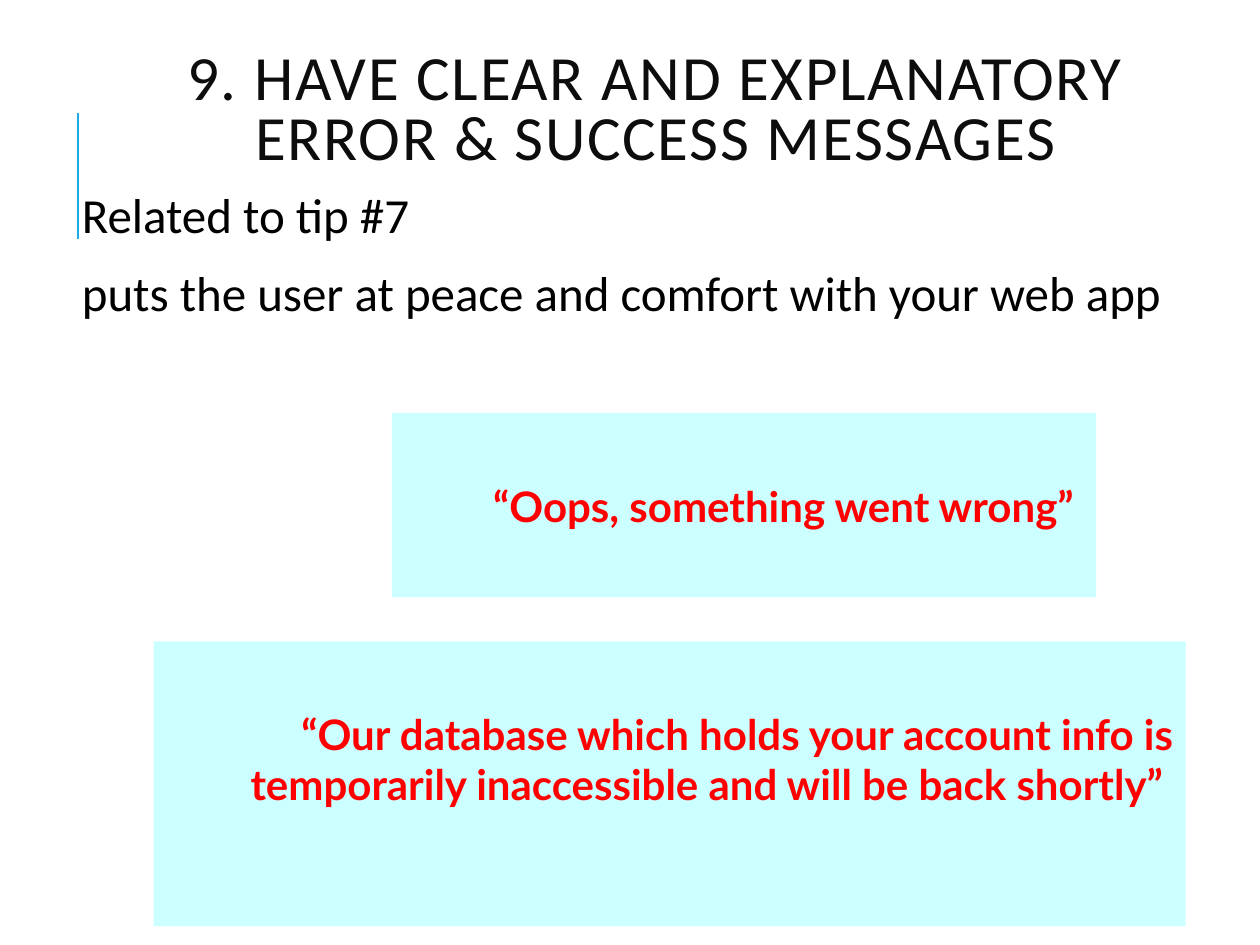
import pptx
import pptx.util
import pptx.dml.color
import pptx.enum.shapes
import pptx.enum.text
import pptx.oxml

Inches = pptx.util.Inches
Pt = pptx.util.Pt
Align = pptx.enum.text.PP_ALIGN
Anchor = pptx.enum.text.MSO_ANCHOR


def color(value):
    return pptx.dml.color.RGBColor.from_string(value)


def write(frame, lines, size, font, ink, bold=False, align=Align.LEFT,
          anchor=Anchor.TOP, line_spacing=1.0, before=0, after=0, tracking=0,
          insets=(0.1, 0.05, 0.1, 0.05)):
    frame.word_wrap = True
    frame.vertical_anchor = anchor
    (frame.margin_left, frame.margin_top,
     frame.margin_right, frame.margin_bottom) = map(Inches, insets)
    for index, line in enumerate(lines):
        para = frame.add_paragraph() if index else frame.paragraphs[0]
        para.alignment = align
        para.line_spacing = line_spacing
        para.space_before = Pt(before if index else 0)
        para.space_after = Pt(after)
        span = para.add_run()
        span.text = line
        span.font.size = Pt(size)
        span.font.name = font
        span.font.bold = bold
        span.font.color.rgb = color(ink)
        if tracking:
            span.font._element.set("spc", str(tracking * 100))


def add_accent(page, x, top, bottom):
    rule = page.shapes.add_connector(
        pptx.enum.shapes.MSO_CONNECTOR.STRAIGHT,
        Inches(x), Inches(bottom), Inches(x), Inches(top))
    rule.line.color.rgb = color("1CADE4")
    rule.line.width = Pt(1.5)
    rule._element.spPr.append(pptx.oxml.parse_xml(
        '<a:effectLst xmlns:a="http://schemas.openxmlformats.org/drawingml/2006/main"/>'))


def add_title(page, box, text):
    title = page.shapes.add_textbox(*map(Inches, box))
    write(title.text_frame, [text], 36, "Calibri", "0D0D0D",
          align=Align.CENTER, anchor=Anchor.MIDDLE, line_spacing=0.8, tracking=1)


def add_body(page, box, lines):
    body = page.shapes.add_textbox(*map(Inches, box))
    write(body.text_frame, lines, 28, "Calibri", "000000",
          line_spacing=0.9, before=12, after=2, insets=(0.15, 0.05, 0.05, 0.05))


def add_message(page, box, text):
    panel = page.shapes.add_shape(
        pptx.enum.shapes.MSO_SHAPE.RECTANGLE, *map(Inches, box))
    panel.shadow.inherit = False
    panel.fill.solid()
    panel.fill.fore_color.rgb = color("CCFFFF")
    panel.line.fill.background()
    write(panel.text_frame, [text], 24, "Lato", "FF0000", bold=True,
          align=Align.RIGHT, insets=(0.1, 0.53, 0.1, 0.05))


def main():
    deck = pptx.Presentation()
    deck.slide_width = Inches(10)
    deck.slide_height = Inches(7.5)
    page = deck.slides.add_slide(deck.slide_layouts[6])
    add_accent(page, 0.62, 0.9, 1.9)
    add_title(page, (0.91, 0.07, 8.59, 1.64),
              "9. HAVE CLEAR AND EXPLANATORY ERROR & SUCCESS MESSAGES")
    add_body(page, (0.5, 1.47, 9, 1.89),
             ["Related to tip #7",
              "puts the user at peace and comfort with your web app"])
    add_message(page, (3.11, 3.28, 5.59, 1.46), "“Oops, something went wrong” ")
    add_message(page, (1.22, 5.09, 8.19, 2.26),
                "“Our database which holds your account info is "
                "temporarily inaccessible and will be back shortly” ")
    deck.save("out.pptx")


if __name__ == "__main__":
    main()
